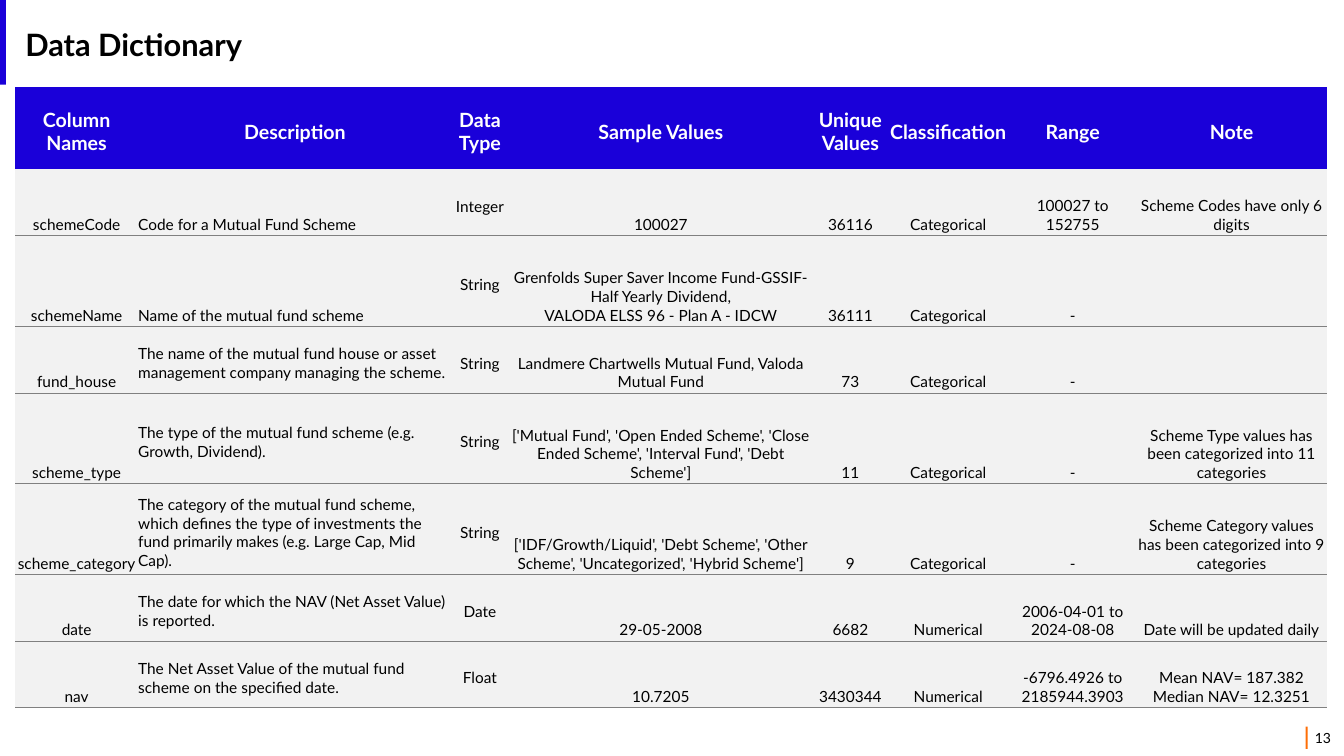
"""Build the Data Dictionary slide: a table of mutual fund columns."""
from lxml.etree import SubElement
from pptx import Presentation
from pptx.dml.color import RGBColor
from pptx.enum.shapes import MSO_SHAPE
from pptx.enum.text import MSO_ANCHOR, PP_ALIGN
from pptx.oxml.ns import qn
from pptx.util import Inches, Pt

HUES = {"blue": "1A00D9", "orange": "FE6E06", "pale": "F2F2F2",
        "gray": "808080", "white": "FFFFFF", "black": "000000"}
WIDE, HIGH = Inches(13.33), Inches(7.5)
COLS = [9.15, 23.33, 4.2, 22.73, 5.48, 9.08, 9.45, 14.18]
ROWS = [10.93, 8.8, 12, 8.8, 12, 12, 8.8, 8.8]
DATA = [
    ["Column Names", "Description", "Data Type", "Sample Values",
     "Unique Values", "Classification", "Range", "Note"],
    ["schemeCode", "Code for a Mutual Fund Scheme", "Integer", "100027",
     "36116", "Categorical", "100027 to 152755",
     "Scheme Codes have only 6 digits"],
    ["schemeName", "Name of the mutual fund scheme", "String",
     "Grenfolds Super Saver Income Fund-GSSIF-Half Yearly Dividend,\n"
     "VALODA ELSS 96 - Plan A - IDCW",
     "36111", "Categorical", "-", ""],
    ["fund_house",
     "The name of the mutual fund house or asset management company "
     "managing the scheme.", "String",
     "Landmere Chartwells Mutual Fund, Valoda Mutual Fund",
     "73", "Categorical", "-", ""],
    ["scheme_type",
     "The type of the mutual fund scheme (e.g. Growth, Dividend).", "String",
     "['Mutual Fund', 'Open Ended Scheme', 'Close Ended Scheme', "
     "'Interval Fund', 'Debt Scheme']",
     "11", "Categorical", "-",
     "Scheme Type values has been categorized into 11 categories"],
    ["scheme_category",
     "The category of the mutual fund scheme, which defines the type of "
     "investments the fund primarily makes (e.g. Large Cap, Mid Cap).",
     "String",
     "['IDF/Growth/Liquid', 'Debt Scheme', 'Other Scheme', "
     "'Uncategorized', 'Hybrid Scheme']",
     "9", "Categorical", "-",
     "Scheme Category values has been categorized into 9 categories"],
    ["date", "The date for which the NAV (Net Asset Value) is reported.",
     "Date", "29-05-2008", "6682", "Numerical", "2006-04-01 to 2024-08-08",
     "Date will be updated daily"],
    ["nav",
     "The Net Asset Value of the mutual fund scheme on the specified date.",
     "Float", "10.7205", "3430344", "Numerical", "-6796.4926 to 2185944.3903",
     "Mean NAV= 187.382\nMedian NAV= 12.3251"],
]


def place(x, y, w, h):
    """Turn percentages of the slide into a box of lengths."""
    return [int(side * part / 100)
            for side, part in zip((WIDE, HIGH, WIDE, HIGH), (x, y, w, h))]


def write(frame, text, size, hue="black", bold=False, align=PP_ALIGN.LEFT):
    """Fill a text frame and format each of its runs."""
    frame.text = text
    looks = {"name": "Lato", "size": Pt(size), "bold": bold}
    for para in frame.paragraphs:
        para.alignment = align
        for run in para.runs:
            for key, value in looks.items():
                setattr(run.font, key, value)
            run.font.color.rgb = RGBColor.from_string(HUES[hue])


deck = Presentation()
deck.slide_width, deck.slide_height = WIDE, HIGH
slide = deck.slides.add_slide(deck.slide_layouts[5])

for hue, box in {"orange": (97.15, 96.13, 0.15, 2.93),
                 "blue": (-0.15, 0, 0.6, 11.2)}.items():
    bar = slide.shapes.add_shape(MSO_SHAPE.RECTANGLE, *place(*box))
    bar.shadow.inherit = False
    bar.fill.solid()
    bar.fill.fore_color.rgb = RGBColor.from_string(HUES[hue])
    bar.line.fill.background()

title = slide.shapes.title
title.left, title.top, title.width, title.height = place(1.13, 0.93, 96.77, 9.73)
title.text_frame.vertical_anchor = MSO_ANCHOR.MIDDLE
write(title.text_frame, "Data Dictionary", 22, bold=True)

table = slide.shapes.add_table(
    len(ROWS), len(COLS), *place(1.13, 11.47, sum(COLS), sum(ROWS))).table
for col, share in zip(table.columns, COLS):
    col.width = int(WIDE * share / 100)
for row, share in zip(table.rows, ROWS):
    row.height = int(HIGH * share / 100)

pads = {"margin_left": 0, "margin_top": Inches(0.09),
        "margin_right": 0, "margin_bottom": Inches(0.02)}
for r, line in enumerate(DATA):
    for c, text in enumerate(line):
        cell = table.cell(r, c)
        head = r == 0
        for key, value in pads.items():
            setattr(cell, key, value)
        mid = head or c == 2 or (c == 1 and r > 2)
        cell.vertical_anchor = MSO_ANCHOR.MIDDLE if mid else MSO_ANCHOR.BOTTOM
        align = PP_ALIGN.LEFT if c == 1 and not head else PP_ALIGN.CENTER
        write(cell.text_frame, text, 14 if head else 11,
              "white" if head else "black", head, align)
        props = cell._tc.get_or_add_tcPr()
        for edge, ruled in {"lnL": False, "lnR": False,
                            "lnT": r > 1, "lnB": r > 0}.items():
            rule = SubElement(props, qn(f"a:{edge}"), w=str(Pt(0.75)))
            if ruled:
                ink = SubElement(rule, qn("a:solidFill"))
                SubElement(ink, qn("a:srgbClr"), val=HUES["gray"])
            else:
                SubElement(rule, qn("a:noFill"))
        cell.fill.solid()
        cell.fill.fore_color.rgb = RGBColor.from_string(
            HUES["blue" if head else "pale"])

page = slide.shapes.add_textbox(*place(94.97, 94.93, 4.8, 5.33)).text_frame
page.word_wrap = True
page.vertical_anchor = MSO_ANCHOR.MIDDLE
write(page, "13", 10, align=PP_ALIGN.RIGHT)

deck.save("out.pptx")
